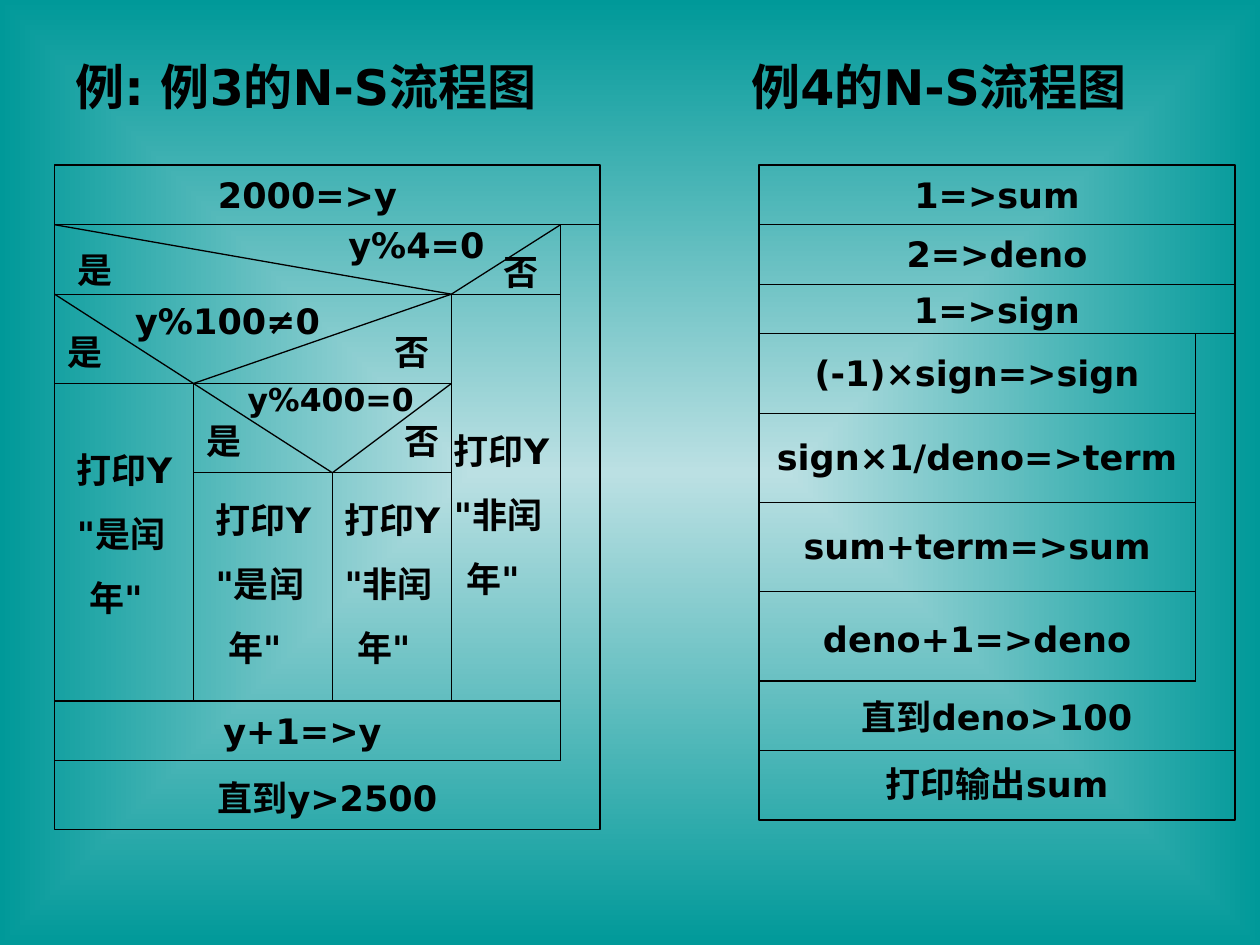
from lxml.etree import SubElement
from pptx import Presentation
from pptx.dml.color import RGBColor
from pptx.enum.shapes import MSO_CONNECTOR, MSO_SHAPE
from pptx.enum.text import MSO_ANCHOR, PP_ALIGN
from pptx.oxml.ns import qn
from pptx.util import Cm, Pt

INK = "000000"
hue = RGBColor.from_string

deck = Presentation()
deck.slide_width, deck.slide_height = Cm(25.4), Cm(19.05)
slide = deck.slides.add_slide(deck.slide_layouts[6])


def write(lines, x, y, wide, high=1.12, size=20, align=PP_ALIGN.CENTER, wrap=True):
    box = slide.shapes.add_textbox(Cm(x), Cm(y), Cm(wide), Cm(high))
    frame = box.text_frame
    frame.word_wrap = wrap
    for i, line in enumerate(lines):
        para = frame.paragraphs[0] if i == 0 else frame.add_paragraph()
        para.alignment = align
        if i:
            para.space_before = Pt(12.5)
        run = para.add_run()
        run.text = line
        run.font.name = "DejaVu Sans"
        run.font.size = Pt(size)
        run.font.bold = True
        run.font.color.rgb = hue(INK)
    return frame


def rule(x1, y1, x2, y2):
    line = slide.shapes.add_connector(
        MSO_CONNECTOR.STRAIGHT, Cm(x1), Cm(y1), Cm(x2), Cm(y2))
    line.line.color.rgb = hue(INK)
    line.line.width = Pt(0.75)
    SubElement(line.element.spPr, qn("a:effectLst"))


# Background: gradient from the centre out to the edges
fill = slide.background.fill
fill.gradient()
for stop, tone in zip(fill.gradient_stops, ("BBE0E3", "009999")):
    stop.color.rgb = hue(tone)
grad = slide.element.find(".//" + qn("a:gradFill"))
grad.remove(grad.find(qn("a:lin")))
glow = SubElement(grad, qn("a:path"), path="rect")
SubElement(glow, qn("a:fillToRect"), l="50000", t="50000", r="50000", b="50000")

# Titles
for text, x, wide in (("例: 例3的N-S流程图", 1.27, 12.2), ("例4的N-S流程图", 14.9, 9.5)):
    head = write([text], x, 0.76, wide, 1.96, 28, PP_ALIGN.LEFT)
    head.vertical_anchor = MSO_ANCHOR.MIDDLE

# Outer frames
top = 3.33
for x, wide, high in ((1.1, 11, 13.4), (15.3, 9.6, 13.2)):
    frame = slide.shapes.add_shape(
        MSO_SHAPE.RECTANGLE, Cm(x), Cm(top), Cm(wide), Cm(high))
    frame.shadow.inherit = False
    frame.fill.background()
    frame.line.color.rgb = hue(INK)
    frame.line.width = Pt(0.75)

# Left chart: columns a to f, rows by test
a, b, c, d, e, f = 1.1, 3.9, 6.7, 9.1, 11.3, 12.1
loop, four, cent, quad, step, end = [top + y for y in (1.2, 2.6, 4.4, 6.2, 10.8, 12)]
for x1, x2, y in ((a, f, loop), (a, e, four), (a, d, cent),
                  (b, d, quad), (a, e, step), (a, e, end)):
    rule(x1, y, x2, y)
for x, y1, y2 in ((b, cent, step), (c, quad, step), (d, four, step), (e, loop, end)):
    rule(x, y1, x, y2)

# Slanted sides of the three tests
for x1, tip, x2, y1, y2 in ((a, d, e, loop, four), (a, b, d, four, cent),
                            (b, c, d, cent, quad)):
    rule(x1, y1, tip, y2)
    rule(tip, y2, x2, y1)

# Left chart: steps and tests
for text, x, y, wide, size in (
        ("2000=>y", a, 3.38, 10.2, 20),
        ("y%4=0", 6.45, 4.39, 3.89, 20),
        ("y%100≠0", 2.2, 5.92, 4.78, 20),
        ("y%400=0", 3.84, 7.54, 5.66, 18),
        ("y+1=>y", 2.1, 14.17, 8, 20),
        ("直到y>2500", 2.7, 15.52, 7.8, 20)):
    write([text], x, y, wide, size=size)

# Yes and no marks
for text, x, y in (("是", 1.3, 4.88), ("否", 9.9, 4.93), ("是", 1.1, 6.53),
                   ("否", 7.7, 6.53), ("是", 3.9, 8.33), ("否", 7.9, 8.33)):
    write([text], x, y, 1.22, wrap=False)

# Printed results, last line indented
for kind, x, y, wide in (("是", 1.3, 8.92, 3.2), ("是", 4.1, 9.93, 2.6),
                         ("非", 6.7, 9.93, 2.8), ("非", 8.9, 8.53, 2.8)):
    out = write(["打印Y", f'"{kind}闰', '年"'], x, y, wide, 3.68, align=PP_ALIGN.LEFT)
    props = out.paragraphs[2]._p.get_or_add_pPr()
    props.set("marL", str(Cm(0.25)))
    props.set("indent", "0")

# Right chart: full rows, then the rows inside the loop
left, inner, right = 15.3, 24.1, 24.9
for edge, gaps in ((right, (1.2, 2.4, 3.4, 11.8)), (inner, (5, 6.8, 8.6, 10.4))):
    for gap in gaps:
        rule(left, top + gap, edge, top + gap)
rule(inner, top + 3.4, inner, top + 10.4)

for text, y, edge in (
        ("1=>sum", 3.38, right),
        ("2=>deno", 4.57, right),
        ("1=>sign", 5.69, right),
        ("(-1)×sign=>sign", 6.96, inner),
        ("sign×1/deno=>term", 8.66, inner),
        ("sum+term=>sum", 10.44, inner),
        ("deno+1=>deno", 12.32, inner),
        ("直到deno>100", 13.89, right),
        ("打印输出sum", 15.24, right)):
    write([text], left, y, edge - left)

deck.save("out.pptx")
